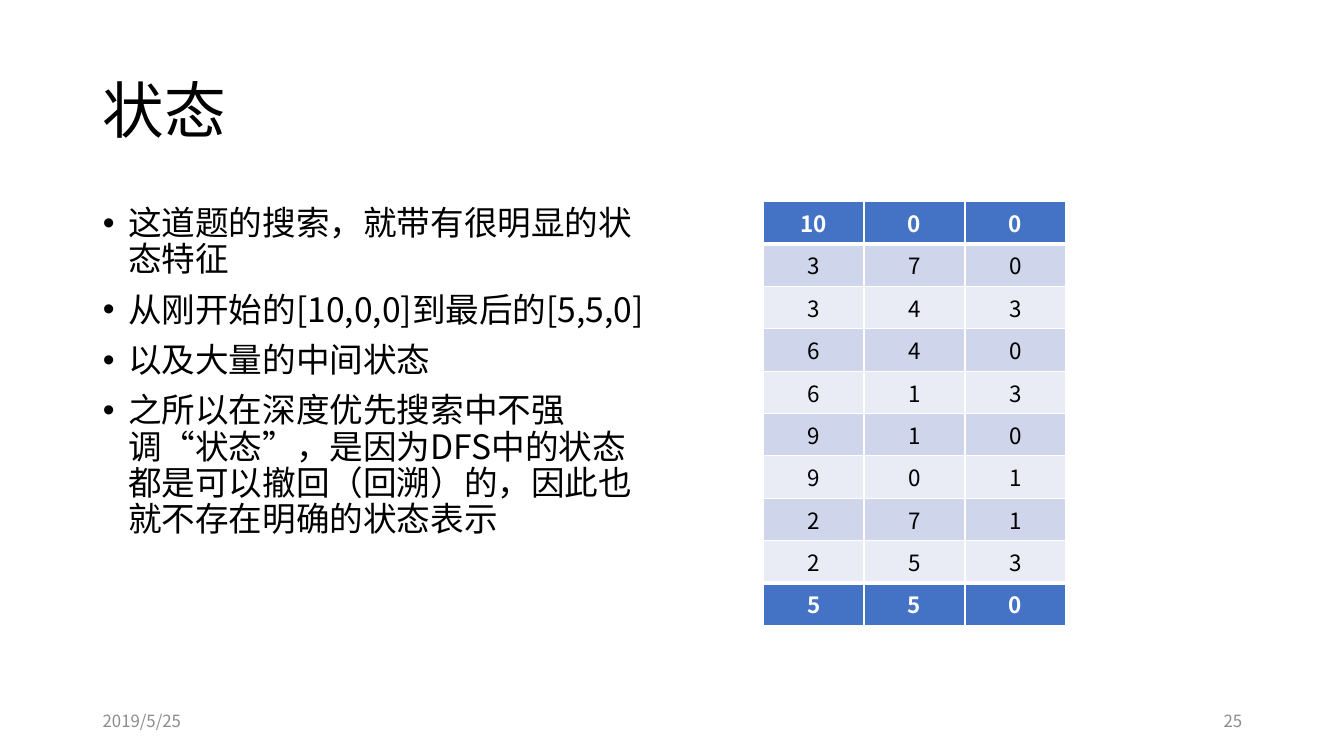
from dataclasses import dataclass

from lxml import etree
from pptx import Presentation
from pptx import util as u
from pptx.dml.color import RGBColor
from pptx.enum import text as t
from pptx.oxml.ns import qn

FONT = "Noto Sans CJK SC"
HUES = {"ink": "000000", "gray": "8C8C8C", "white": "FFFFFF",
        "head": "4472C4", "odd": "CFD5EA", "even": "E9EBF5"}
POINTS = [
    "这道题的搜索，就带有很明显的状态特征",
    "从刚开始的[10,0,0]到最后的[5,5,0]",
    "以及大量的中间状态",
    "之所以在深度优先搜索中不强调“状态”，是因为DFS中的状态都是可以撤回（回溯）的，因此也就不存在明确的状态表示",
]
STATES = [(10, 0, 0), (3, 7, 0), (3, 4, 3), (6, 4, 0), (6, 1, 3),
          (9, 1, 0), (9, 0, 1), (2, 7, 1), (2, 5, 3), (5, 5, 0)]
LAST = len(STATES) - 1


@dataclass
class Box:
    left: float
    top: float
    width: float
    height: float

    def spans(self) -> list[u.Length]:
        return [u.Inches(n) for n in (self.left, self.top, self.width, self.height)]


@dataclass
class Note:
    words: str
    box: Box
    align: t.PP_ALIGN


NOTES = [Note("2019/5/25", Box(0.92, 6.95, 3, 0.4), t.PP_ALIGN.LEFT),
         Note("25", Box(9.42, 6.95, 3, 0.4), t.PP_ALIGN.RIGHT)]


def style(para, size: float, hue: str, align=t.PP_ALIGN.LEFT, bold: bool = False) -> None:
    """Format a paragraph, with the same font for Latin and Chinese text."""
    para.alignment = align
    font = para.font
    font.name, font.size, font.bold = FONT, u.Pt(size), bold
    font.color.rgb = RGBColor.from_string(HUES[hue])
    props = para._p.get_or_add_pPr().find(qn("a:defRPr"))
    east = etree.Element(qn("a:ea"), typeface=FONT)
    props.find(qn("a:latin")).addnext(east)


def place(shape, box: Box, anchor: t.MSO_ANCHOR) -> None:
    shape.left, shape.top, shape.width, shape.height = box.spans()
    frame = shape.text_frame
    frame.word_wrap = True
    frame.auto_size = t.MSO_AUTO_SIZE.NONE
    frame.vertical_anchor = anchor


def add_title(slide) -> None:
    title = slide.shapes.title
    place(title, Box(0.92, 0.4, 11.5, 1.45), t.MSO_ANCHOR.MIDDLE)
    title.text_frame.text = "状态"
    para = title.text_frame.paragraphs[0]
    para.line_spacing = 0.9
    style(para, 44, "ink")


def add_list(slide) -> None:
    body = slide.placeholders[1]
    place(body, Box(0.92, 2, 5.67, 4.76), t.MSO_ANCHOR.TOP)
    body.text_frame.text = "\n".join(POINTS)
    for para in body.text_frame.paragraphs:
        para.line_spacing, para.space_before = 0.9, u.Pt(10)
        style(para, 24, "ink")
        props = para._p.get_or_add_pPr()
        props.set("marL", str(u.Inches(0.25)))
        props.set("indent", str(u.Inches(-0.25)))


def add_note(slide, note: Note) -> None:
    shape = slide.shapes.add_textbox(*note.box.spans())
    place(shape, note.box, t.MSO_ANCHOR.MIDDLE)
    shape.text_frame.text = note.words
    style(shape.text_frame.paragraphs[0], 12, "gray", note.align)


def add_edges(cell, row: int) -> None:
    """Draw white cell borders, thick next to the first and last rows."""
    top = 3 if row in (1, LAST) else 1
    base = 3 if row in (0, LAST - 1) else 1
    props = cell._tc.get_or_add_tcPr()
    for side, width in (("L", 1), ("R", 1), ("T", top), ("B", base)):
        line = etree.SubElement(props, qn("a:ln" + side), w=str(u.Pt(width)))
        fill = etree.SubElement(line, qn("a:solidFill"))
        etree.SubElement(fill, qn("a:srgbClr"), val=HUES["white"])


def add_states(slide) -> None:
    box = Box(7.57, 2, 3, 3.67)
    grid = slide.shapes.add_table(len(STATES), 3, *box.spans()).table
    for row, state in enumerate(STATES):
        ends = row in (0, LAST)
        shade = "head" if ends else "odd" if row % 2 else "even"
        for col, value in enumerate(state):
            cell = grid.cell(row, col)
            add_edges(cell, row)
            cell.fill.solid()
            cell.fill.fore_color.rgb = RGBColor.from_string(HUES[shade])
            cell.text = str(value)
            style(cell.text_frame.paragraphs[0], 16, "white" if ends else "ink",
                  t.PP_ALIGN.CENTER, ends)


def main() -> None:
    deck = Presentation()
    deck.slide_width, deck.slide_height = u.Inches(13.33), u.Inches(7.5)
    slide = deck.slides.add_slide(deck.slide_layouts[1])
    add_title(slide)
    add_list(slide)
    for note in NOTES:
        add_note(slide, note)
    add_states(slide)
    deck.save("out.pptx")


if __name__ == "__main__":
    main()
